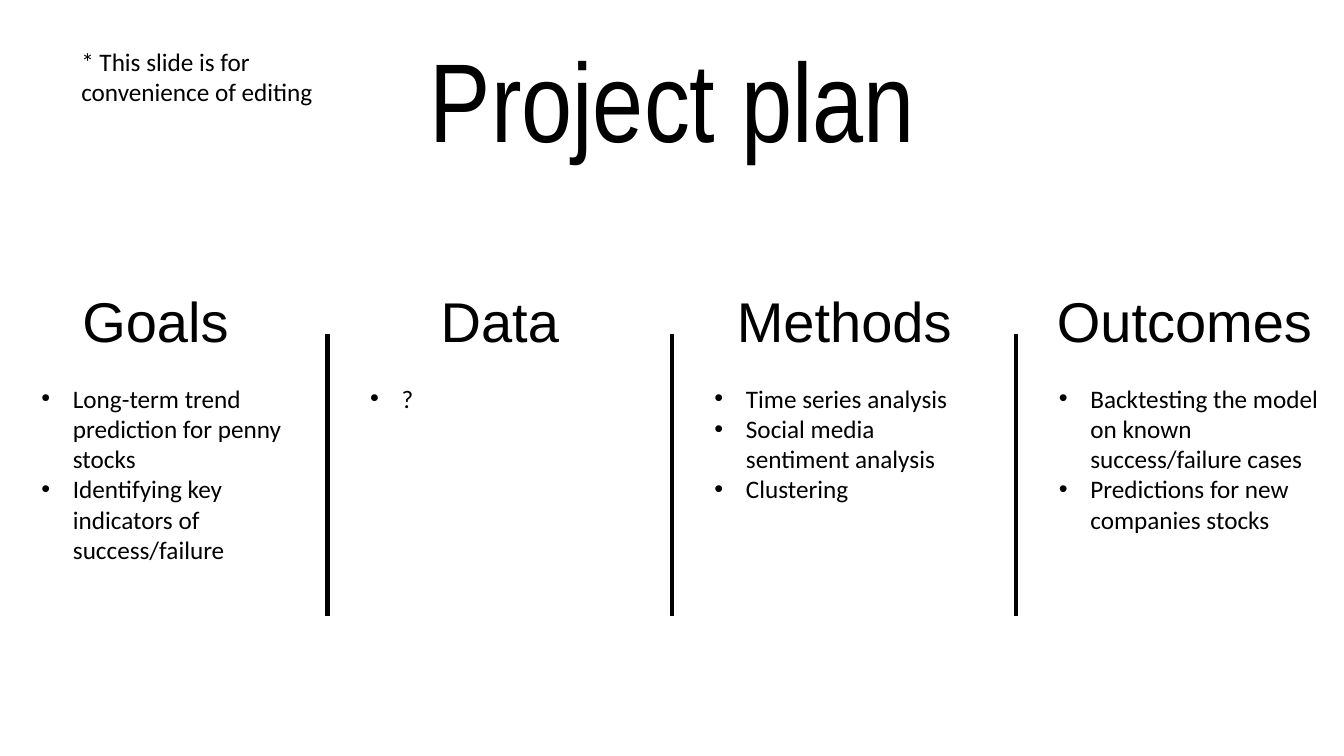
from lxml.etree import SubElement
from pptx import Presentation
from pptx.dml.color import RGBColor
from pptx.enum.shapes import MSO_CONNECTOR
from pptx.enum.text import MSO_AUTO_SIZE, PP_ALIGN
from pptx.oxml.ns import qn
from pptx.util import Pt

SCALE = 9525
PITCH = 328
COLUMNS = [
    ("Goals", 34, 228, 30, 184,
     ["Long-term trend prediction for penny stocks",
      "Identifying key indicators of success/failure"]),
    ("Data", 362, 228, 343, 38, ["?"]),
    ("Methods", 690, 228, 671, 126,
     ["Time series analysis", "Social media sentiment analysis", "Clustering"]),
    ("Outcomes", 995, 266, 999, 156,
     ["Backtesting the model on known success/failure cases",
      "Predictions for new companies stocks"]),
]


def px(count):
    """Turn whole pixels into EMU."""
    return count * SCALE


def color(code):
    """Turn a hex string into a colour."""
    return RGBColor.from_string(code)


class Board:
    """Hold the style and the current slide."""

    ink = "000000"
    body = "Calibri"
    head = "Arial"
    title = "Arial Narrow"
    indent = 30

    def __init__(self, slide):
        """Keep the slide to draw on."""
        self.slide = slide

    def text(self, box, lines, font, size, align=PP_ALIGN.LEFT):
        """Add a text box with one paragraph a line."""
        frame = self.slide.shapes.add_textbox(*map(px, box)).text_frame
        frame.word_wrap = True
        frame.auto_size = MSO_AUTO_SIZE.SHAPE_TO_FIT_TEXT
        frame.text = "\n".join(lines)
        for para in frame.paragraphs:
            para.alignment = align
            for run in para.runs:
                run.font.name = font
                run.font.size = Pt(size)
                run.font.color.rgb = color(self.ink)
        return frame

    def bullets(self, box, lines):
        """Add a bulleted list."""
        for para in self.text(box, lines, self.body, 18).paragraphs:
            props = para._p.get_or_add_pPr()
            props.set("marL", str(px(self.indent)))
            props.set("indent", str(-px(self.indent)))
            SubElement(props, qn("a:buFont")).set("typeface", self.head)
            SubElement(props, qn("a:buChar")).set("char", "•")

    def rule(self, left, top, bottom):
        """Add an upright line."""
        line = self.slide.shapes.add_connector(
            MSO_CONNECTOR.STRAIGHT, px(left), px(top), px(left), px(bottom))
        line.line.color.rgb = color(self.ink)
        line.line.width = Pt(3)
        SubElement(line._element.spPr, qn("a:effectLst"))


def main():
    """Build the project plan slide."""
    deck = Presentation()
    deck.slide_width, deck.slide_height = px(1280), px(720)
    board = Board(deck.slides.add_slide(deck.slide_layouts[6]))

    board.text((312, 24, 657, 139), ["Project plan"], board.title, 80,
               PP_ALIGN.CENTER)
    for step in range(len(COLUMNS) - 1):
        board.rule(312 + step * PITCH, 318, 587)
    for name, left, width, edge, height, items in COLUMNS:
        board.text((left, 268, width, 74), [name], board.head, 40,
                   PP_ALIGN.CENTER)
        board.bullets((edge, 360, 266, height), items)
    board.text((68, 39, 266, 68),
               ["* This slide is for convenience of editing"], board.body, 18)

    deck.save("out.pptx")


if __name__ == "__main__":
    main()
